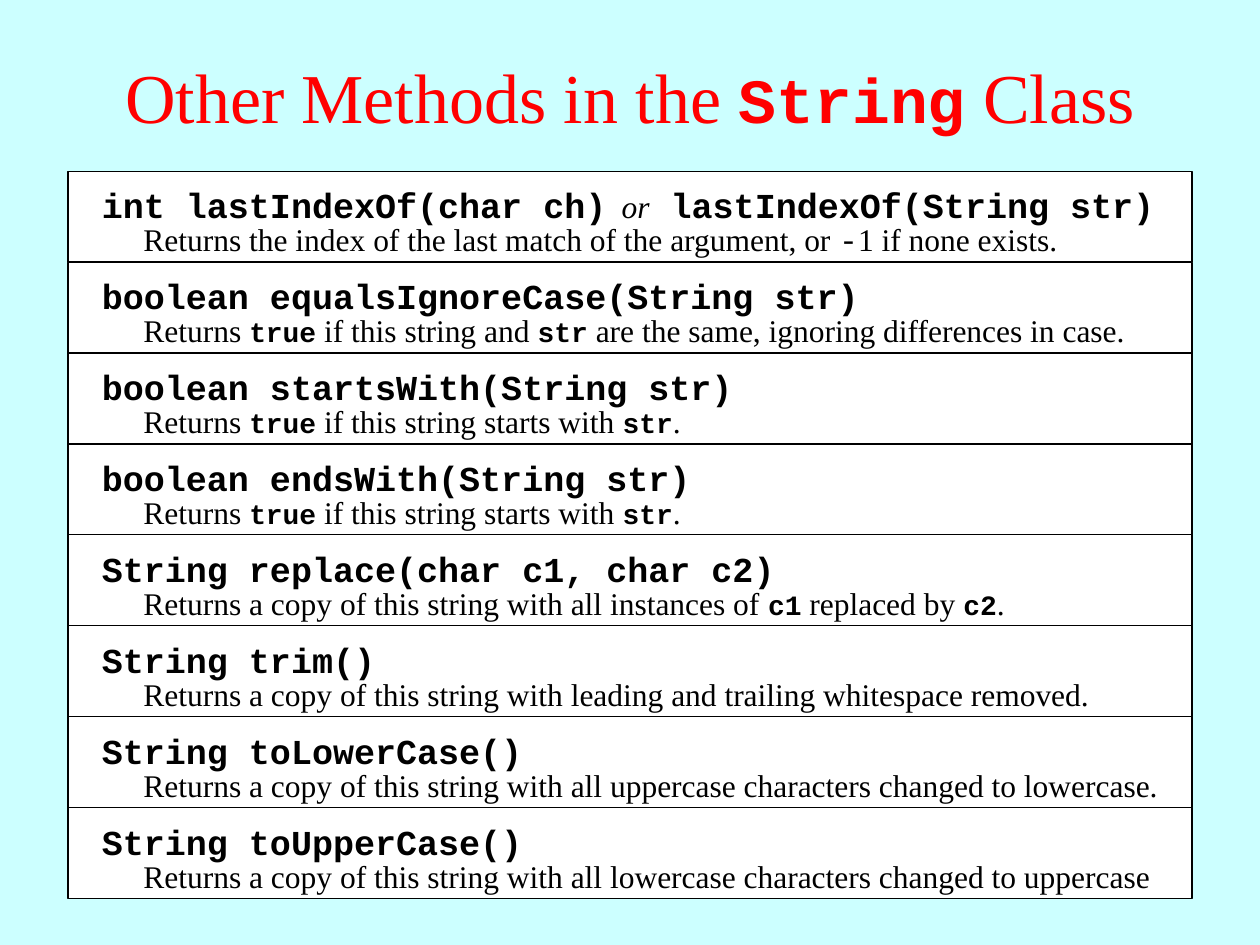
from dataclasses import dataclass

from pptx import Presentation
from pptx.dml.color import RGBColor
from pptx.enum.shapes import MSO_SHAPE
from pptx.enum.text import MSO_ANCHOR, PP_ALIGN
from pptx.util import Inches, Pt

RECTANGLE = MSO_SHAPE.RECTANGLE
TOP, MIDDLE = MSO_ANCHOR.TOP, MSO_ANCHOR.MIDDLE
LEFT, CENTER = PP_ALIGN.LEFT, PP_ALIGN.CENTER
BLANK_LAYOUT = 6


@dataclass(frozen=True)
class TextStyle:
    face: str
    size: int
    bold: bool = False
    italic: bool = False


class Theme:
    background = RGBColor.from_string("CCFFFF")
    heading = RGBColor.from_string("FF0000")
    panel = RGBColor.from_string("FFFFFF")
    ink = RGBColor.from_string("000000")
    serif, mono = "Times New Roman", "Courier New"
    title = TextStyle(serif, 40)
    title_code = TextStyle(mono, 36, bold=True)
    signature = TextStyle(mono, 20, bold=True)
    gap = TextStyle(mono, 14, bold=True)
    conjunction = TextStyle(serif, 18, italic=True)
    body = TextStyle(serif, 18)
    body_code = TextStyle(mono, 16, bold=True)
    minus = TextStyle(mono, 18)


# Each method: its signature spans and its description, with code in backticks
METHODS = [
    ([("int lastIndexOf(char ch)", Theme.signature), (" ", Theme.gap),
      ("or", Theme.conjunction), (" lastIndexOf(String str)", Theme.signature)],
     [("Returns the index of the last match of the argument, or ", Theme.body),
      ("-", Theme.minus), ("1 if none exists.", Theme.body)]),
    ("boolean equalsIgnoreCase(String str)",
     "Returns `true` if this string and `str` are the same, ignoring differences in case."),
    ("boolean startsWith(String str)",
     "Returns `true` if this string starts with `str`."),
    ("boolean endsWith(String str)",
     "Returns `true` if this string starts with `str`."),
    ("String replace(char c1, char c2)",
     "Returns a copy of this string with all instances of `c1` replaced by `c2`."),
    ("String trim()",
     "Returns a copy of this string with leading and trailing whitespace removed."),
    ("String toLowerCase()",
     "Returns a copy of this string with all uppercase characters changed to lowercase."),
    ("String toUpperCase()",
     "Returns a copy of this string with all lowercase characters changed to uppercase"),
]


def split_spans(content, plain, code):
    """Turn a string with backticked code into styled spans."""
    if isinstance(content, list):
        return content
    return [(part, code if index % 2 else plain)
            for index, part in enumerate(content.split("`"))]


class SlideBuilder:
    def __init__(self, slide, theme):
        self.slide = slide
        self.theme = theme

    def background(self):
        fill = self.slide.background.fill
        fill.solid()
        fill.fore_color.rgb = self.theme.background

    def style_font(self, font, style):
        font.name = style.face
        font.size = Pt(style.size)
        font.bold = style.bold
        font.italic = style.italic

    def panel(self, shapes, left, top, width, height):
        panel = shapes.add_shape(RECTANGLE, Inches(left), Inches(top),
                                 Inches(width), Inches(height))
        panel.shadow.inherit = False
        panel.fill.solid()
        panel.fill.fore_color.rgb = self.theme.panel
        panel.line.color.rgb = self.theme.ink
        panel.line.width = Pt(0.75)

    def text(self, shapes, left, top, width, height, spans, color,
             inset_top, anchor=TOP, align=LEFT):
        box = shapes.add_textbox(Inches(left), Inches(top),
                                 Inches(width), Inches(height))
        frame = box.text_frame
        frame.word_wrap = True
        frame.vertical_anchor = anchor
        frame.margin_top = Inches(inset_top)
        para = frame.paragraphs[0]
        para.alignment = align
        para.font.color.rgb = color
        for wording, style in spans:
            span = para.add_run()
            span.text = wording
            if len(spans) > 1:
                self.style_font(span.font, style)
        if len(spans) == 1:
            self.style_font(para.font, spans[0][1])

    def title(self, content):
        spans = split_spans(content, self.theme.title, self.theme.title_code)
        self.text(self.slide.shapes, 0, 0.08, 10, 1.25, spans,
                  self.theme.heading, 0.16, MIDDLE, CENTER)

    def method_row(self, top, height, signature, description):
        theme = self.theme
        shapes = self.slide.shapes.add_group_shape().shapes
        self.panel(shapes, 0.54, top, 8.92, height)
        self.text(shapes, 0.71, top - 0.01, 8.58, 0.44,
                  split_spans(signature, theme.signature, theme.signature),
                  theme.ink, 0.11)
        self.text(shapes, 1.04, top + 0.31, 8.33, 0.4,
                  split_spans(description, theme.body, theme.body_code),
                  theme.ink, 0.08)


def main():
    deck = Presentation()
    deck.slide_width, deck.slide_height = Inches(10), Inches(7.5)
    page = deck.slides.add_slide(deck.slide_layouts[BLANK_LAYOUT])
    builder = SlideBuilder(page, Theme)

    # Background and heading
    builder.background()
    builder.title("Other Methods in the `String` Class")

    # Stacked method rows
    first_top, last_bottom = 1.36, 7.13
    height = (last_bottom - first_top) / len(METHODS)
    for index, (signature, description) in enumerate(METHODS):
        builder.method_row(first_top + index * height, height,
                           signature, description)

    deck.save("out.pptx")


if __name__ == "__main__":
    main()
